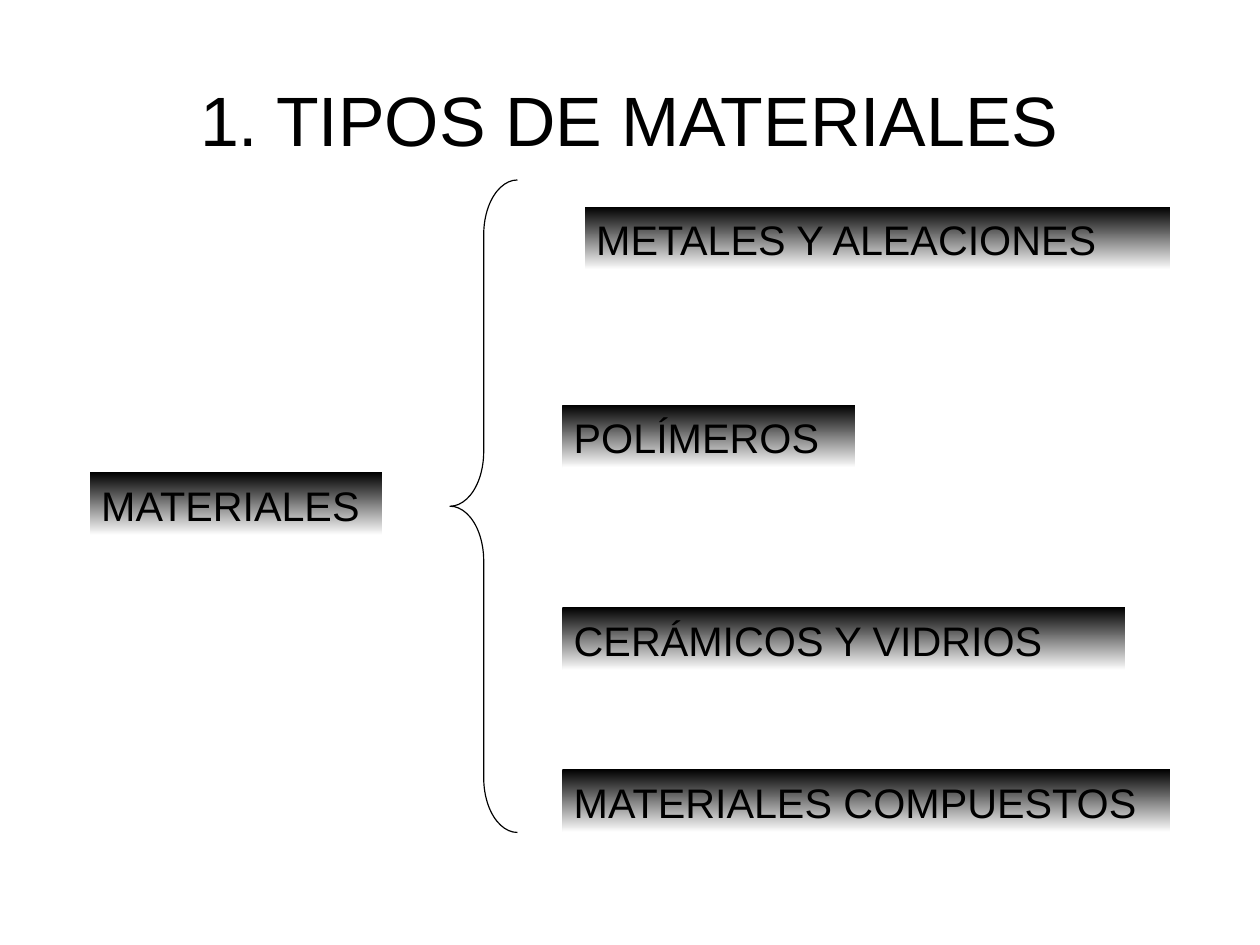
"""Builds a slide that sorts materials into four types."""
import pptx
import pptx.util
import pptx.dml.color
import pptx.enum.shapes
import pptx.enum.text

TITLE = "1. TIPOS DE MATERIALES"
BOXES = [
    ("MATERIALES", 4, 21, 13),
    ("POLÍMEROS", 25, 18, 13),
    ("METALES Y ALEACIONES", 26, 9.2, 26),
    ("CERÁMICOS Y VIDRIOS", 25, 27, 25),
    ("MATERIALES COMPUESTOS", 25, 34.2, 27),
]
HEIGHT = 2.8
HEAD = (2.8, 1.93, 50.4, 6.5)
BRACE = (20, 8, 3, 29)
COLS, ROWS = 56, 42
BLACK = pptx.dml.color.RGBColor(0, 0, 0)
WHITE = pptx.dml.color.RGBColor(255, 255, 255)
ALIGN = pptx.enum.text.PP_ALIGN
ANCHOR = pptx.enum.text.MSO_ANCHOR
SHAPE = pptx.enum.shapes.MSO_SHAPE

deck = pptx.Presentation()
deck.slide_width = pptx.util.Cm(28)
deck.slide_height = pptx.util.Cm(21)
slide = deck.slides.add_slide(deck.slide_layouts[5])


def place(left, top, width, height):
    """Turn grid columns and rows into lengths."""
    col, row = deck.slide_width / COLS, deck.slide_height / ROWS
    return [round(n) for n in (left * col, top * row, width * col, height * row)]


def write(shape, text, size, align=ALIGN.LEFT, anchor=ANCHOR.TOP, inset=(0.1, 0.05)):
    """Put one formatted line of text into a shape."""
    frame = shape.text_frame
    frame.word_wrap = True
    frame.auto_size = pptx.enum.text.MSO_AUTO_SIZE.NONE
    frame.vertical_anchor = anchor
    frame.margin_left = frame.margin_right = pptx.util.Inches(inset[0])
    frame.margin_top = frame.margin_bottom = pptx.util.Inches(inset[1])
    para = frame.paragraphs[0]
    para.alignment = align
    para.line_spacing = 1.04
    run = para.add_run()
    run.text = text
    run.font.size = pptx.util.Pt(size)
    run.font.name = "Arial"
    run.font.color.rgb = BLACK


head = slide.shapes.title
head.left, head.top, head.width, head.height = place(*HEAD)
write(head, TITLE, 44, align=ALIGN.CENTER, anchor=ANCHOR.MIDDLE, inset=(0, 0))

for text, left, top, width in BOXES:
    box = slide.shapes.add_shape(SHAPE.RECTANGLE, *place(left, top, width, HEIGHT))
    box.shadow.inherit = False
    box.line.fill.background()
    box.fill.gradient()
    box.fill.gradient_angle = 270
    for stop, color, spot in zip(box.fill.gradient_stops, (BLACK, WHITE), (0, 1)):
        stop.color.rgb = color
        stop.position = spot
    write(box, text, 26)

brace = slide.shapes.add_shape(SHAPE.LEFT_BRACE, *place(*BRACE))
brace.shadow.inherit = False
brace.adjustments[0] = 0.81
brace.fill.background()
brace.line.color.rgb = BLACK
brace.line.width = pptx.util.Pt(0.75)

deck.save("out.pptx")
